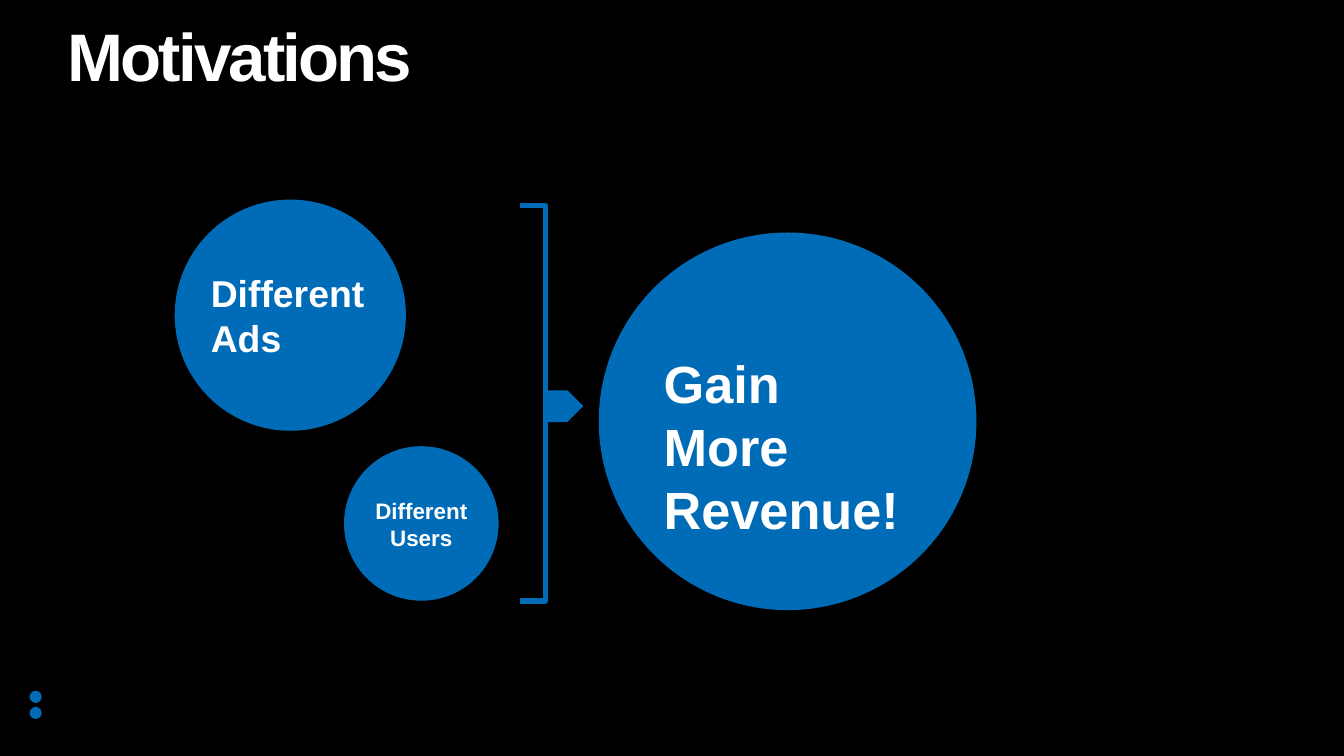
"""Build the Motivations slide: two causes bracketed into one result."""
from dataclasses import dataclass

from pptx import Presentation
from pptx.dml.color import RGBColor
from pptx.enum.shapes import MSO_SHAPE
from pptx.enum.text import MSO_ANCHOR, MSO_AUTO_SIZE, PP_ALIGN
from pptx.util import Inches, Pt

OVAL, BRACKET, ARROW = MSO_SHAPE.OVAL, MSO_SHAPE.RIGHT_BRACKET, MSO_SHAPE.RIGHT_ARROW
MIDDLE, BOTTOM = MSO_ANCHOR.MIDDLE, MSO_ANCHOR.BOTTOM
LEFT, CENTER = PP_ALIGN.LEFT, PP_ALIGN.CENTER
GROW, FIXED = MSO_AUTO_SIZE.SHAPE_TO_FIT_TEXT, MSO_AUTO_SIZE.NONE
TITLE_ONLY = 5
COLUMNS, ROWS = 100, 56.25


@dataclass(frozen=True)
class Theme:
    """Colours, font and type sizes of the slide."""
    back: RGBColor = RGBColor(0x00, 0x00, 0x00)
    accent: RGBColor = RGBColor(0x00, 0x6C, 0xB7)
    text: RGBColor = RGBColor(0xFF, 0xFF, 0xFF)
    font: str = "Arial"
    title: int = 36
    large: int = 28
    medium: int = 20
    small: int = 12
    line: int = 3


THEME = Theme()


def grid(*cells):
    """Turn counts of square grid cells into lengths."""
    return [Inches(count * 10 / COLUMNS) for count in cells]


def style_text(frame, text, size, align=LEFT):
    """Write bold text in the theme font and return its paragraph."""
    frame.text = text
    frame.word_wrap = True
    para = frame.paragraphs[0]
    para.alignment = align
    font = para.runs[0].font
    font.name = THEME.font
    font.size = Pt(size)
    font.bold = True
    font.color.rgb = THEME.text
    return para


def add_title(slide, text):
    """Place the title with tight letter and line spacing."""
    title = slide.shapes.title
    title.left, title.top, title.width, title.height = grid(5, 2.15, 90, 4.9)
    frame = title.text_frame
    para = style_text(frame, text, THEME.title)
    para.line_spacing = 0.8
    para.runs[0].font._element.set("spc", "-150")
    frame.margin_left = frame.margin_right = frame.margin_top = frame.margin_bottom = 0
    frame.vertical_anchor = BOTTOM
    frame.auto_size = FIXED


def add_solid(slide, kind, left, top, width, height):
    """Add a plain accent-coloured shape."""
    shape = slide.shapes.add_shape(kind, *grid(left, top, width, height))
    shape.shadow.inherit = False
    shape.fill.solid()
    shape.fill.fore_color.rgb = THEME.accent
    shape.line.fill.background()
    return shape


def add_label(slide, text, cells, size, align=LEFT):
    """Add a text box centred on its height."""
    box = slide.shapes.add_textbox(*grid(*cells))
    style_text(box.text_frame, text, size, align)
    box.text_frame.vertical_anchor = MIDDLE
    box.text_frame.auto_size = GROW


def add_bubble(slide, text, circle, label, size, align=LEFT):
    """Add a circle, given by left, top and diameter, with its label."""
    left, top, diameter = circle
    add_solid(slide, OVAL, left, top, diameter, diameter)
    add_label(slide, text, label, size, align)


def add_bracket_arrow(slide):
    """Join the causes with a square bracket that points to the result."""
    bracket = add_solid(slide, BRACKET, 38.9, 15.3, 1.7, 29.4)
    bracket.adjustments[0] = 0
    bracket.fill.background()
    bracket.line.color.rgb = THEME.accent
    bracket.line.width = Pt(THEME.line)
    bracket.line._get_or_add_ln().set("cap", "sq")
    arrow = add_solid(slide, ARROW, 40.6, 29.05, 2.8, 2.35)
    arrow.adjustments[0] = 1
    arrow.adjustments[1] = 0.5


def main():
    """Build and save the deck."""
    deck = Presentation()
    deck.slide_width, deck.slide_height = grid(COLUMNS, ROWS)
    slide = deck.slides.add_slide(deck.slide_layouts[TITLE_ONLY])
    slide.background.fill.solid()
    slide.background.fill.fore_color.rgb = THEME.back
    for top in (52.6, 51.4):
        add_solid(slide, OVAL, 2.2, top, 0.9, 0.9)
    add_title(slide, "Motivations")
    add_bubble(slide, "Gain More Revenue!", (44.55, 17.3, 28.1),
               (48.4, 25.6, 20.4, 15.1), THEME.large)
    add_bubble(slide, "Different Ads", (13, 14.85, 17.2),
               (14.7, 19.6, 13.7, 7.7), THEME.medium)
    add_bubble(slide, "Different Users", (25.6, 33.2, 11.5),
               (26.8, 36.5, 9.1, 5), THEME.small, CENTER)
    add_bracket_arrow(slide)
    deck.save("out.pptx")


if __name__ == "__main__":
    main()
